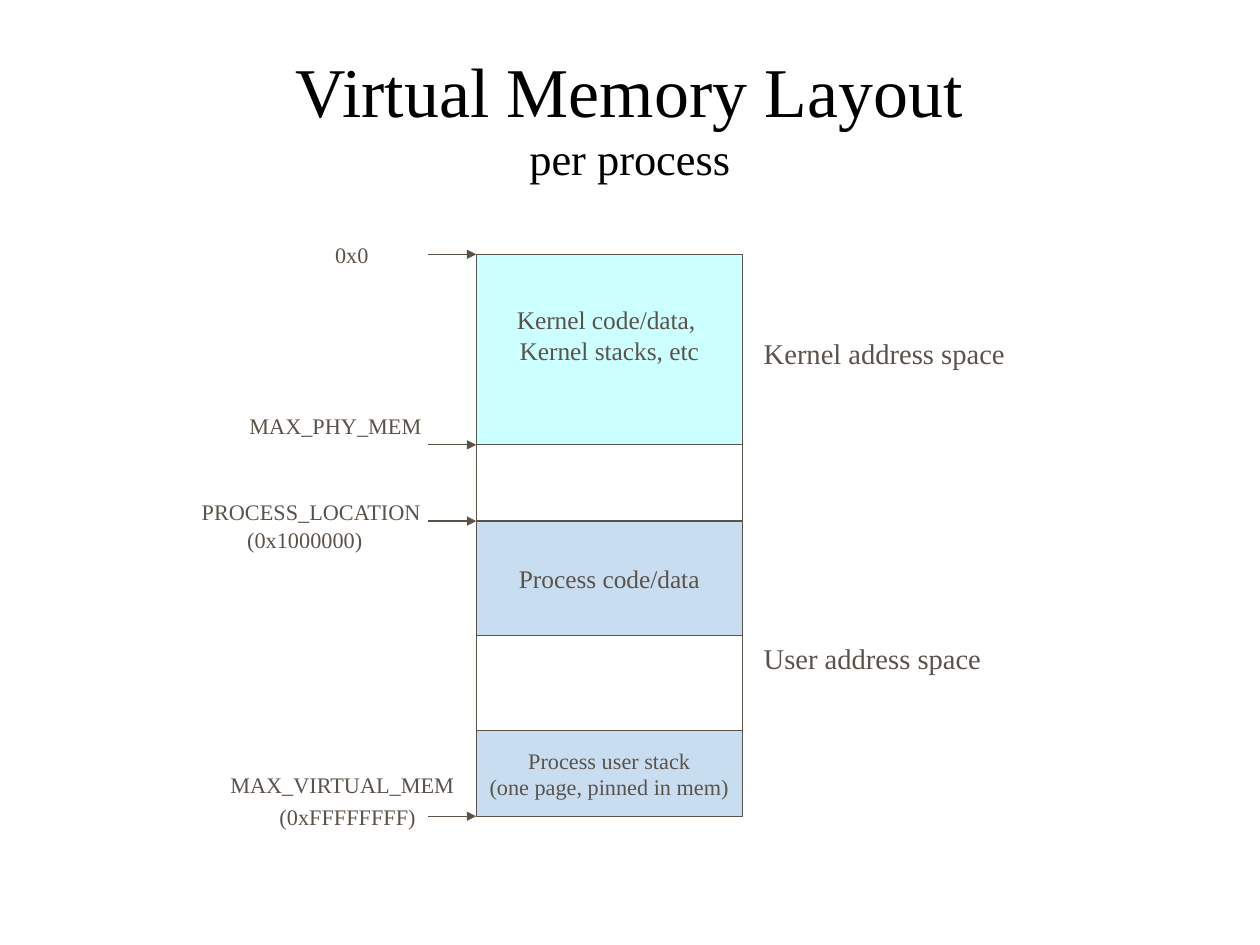
"""Draw the virtual memory layout of one process."""
from dataclasses import dataclass

from lxml.etree import SubElement
from pptx import Presentation
from pptx.dml.color import RGBColor
from pptx.enum.shapes import MSO_CONNECTOR, MSO_SHAPE
from pptx.enum.text import MSO_ANCHOR, PP_ALIGN
from pptx.oxml.ns import qn
from pptx.util import Pt

FONT = "Times New Roman"
INK = "5B5249"
BLACK = "000000"
TOP = 160.2
LEFT = 300
WIDTH = 167.6
REACH = 30.2


@dataclass
class Block:
    """One region of memory, stacked under the one before."""
    height: float
    fill: str
    lines: tuple[str, ...] = ()
    size: float = 16
    foot: float = 3.6


@dataclass
class Label:
    """A line of text beside the stack."""
    text: str
    left: float
    top: float
    width: float
    height: float = 24.4
    size: float = 14
    align: PP_ALIGN = PP_ALIGN.LEFT


BLOCKS = [
    Block(120, "CCFFFF", ("Kernel code/data, ", "Kernel stacks, etc"), foot=22),
    Block(48, "FFFFFF"),
    Block(72, "C9DDF1", ("Process code/data",)),
    Block(60, "FFFFFF"),
    Block(54, "C9DDF1", ("Process user stack", "(one page, pinned in mem)"), 14),
]
LABELS = [
    Label("0x0", 204, 148.2, 36),
    Label("MAX_PHY_MEM", 150, 256.2, 123),
    Label("PROCESS_LOCATION", 120, 310.2, 153),
    Label("(0x1000000)", 144, 328.2, 96, align=PP_ALIGN.CENTER),
    Label("MAX_VIRTUAL_MEM", 138, 482.2, 156),
    Label("(0xFFFFFFFF)", 162, 502.2, 114, align=PP_ALIGN.CENTER),
    Label("Kernel address space", 474, 208.2, 192, 29, 18),
    Label("User address space", 474, 400.2, 192, 29, 18),
]
MARKS = (0, 1, 2, 5)


def paint(target, color: str) -> None:
    """Give a fill a solid colour."""
    target.solid()
    target.fore_color.rgb = RGBColor.from_string(color)


def write(para, text: str, size: float, color: str = INK) -> None:
    """Add one run to a paragraph."""
    run = para.add_run()
    run.text = text
    run.font.name = FONT
    run.font.size = Pt(size)
    paint(run.font.fill, color)


def add_title(slide) -> None:
    """Add the two-line heading."""
    box = slide.shapes.add_textbox(Pt(39.6), Pt(23.5), Pt(714.2), Pt(99.4))
    frame = box.text_frame
    frame.word_wrap = True
    frame.vertical_anchor = MSO_ANCHOR.MIDDLE
    frame.margin_left = frame.margin_right = Pt(0)
    frame.margin_top = frame.margin_bottom = Pt(0)
    para = frame.paragraphs[0]
    para.alignment = PP_ALIGN.CENTER
    write(para, "Virtual Memory Layout", 44, BLACK)
    para.add_line_break()
    write(para, "per process", 28, BLACK)


def add_block(slide, block: Block, top: float) -> None:
    """Draw one region with its centred text."""
    shape = slide.shapes.add_shape(
        MSO_SHAPE.RECTANGLE, Pt(LEFT), Pt(top), Pt(WIDTH), Pt(block.height))
    shape.shadow.inherit = False
    paint(shape.fill, block.fill)
    paint(shape.line.fill, INK)
    shape.line.width = Pt(0.75)
    frame = shape.text_frame
    frame.word_wrap = True
    frame.vertical_anchor = MSO_ANCHOR.MIDDLE
    frame.margin_bottom = Pt(block.foot)
    for index, line in enumerate(block.lines):
        para = frame.add_paragraph() if index else frame.paragraphs[0]
        para.alignment = PP_ALIGN.CENTER
        write(para, line, block.size)


def add_arrow(slide, level: float) -> None:
    """Point at the stack's left edge at a given level."""
    arrow = slide.shapes.add_connector(
        MSO_CONNECTOR.STRAIGHT, Pt(LEFT - REACH), Pt(level), Pt(LEFT), Pt(level))
    paint(arrow.line.fill, INK)
    arrow.line.width = Pt(0.75)
    SubElement(arrow.line._get_or_add_ln(), qn("a:tailEnd"), type="triangle")
    SubElement(arrow._element.spPr, qn("a:effectLst"))


def add_label(slide, label: Label) -> None:
    """Add one line of text beside the stack."""
    box = slide.shapes.add_textbox(
        Pt(label.left), Pt(label.top), Pt(label.width), Pt(label.height))
    box.text_frame.word_wrap = True
    para = box.text_frame.paragraphs[0]
    para.alignment = label.align
    write(para, label.text, label.size)


def main() -> None:
    """Build and save the slide."""
    deck = Presentation()
    deck.slide_width = Pt(793.7)
    deck.slide_height = Pt(595.28)
    slide = deck.slides.add_slide(deck.slide_layouts[6])
    add_title(slide)
    levels = [TOP]
    for block in BLOCKS:
        add_block(slide, block, levels[-1])
        levels.append(levels[-1] + block.height)
    for mark in MARKS:
        add_arrow(slide, levels[mark])
    for label in LABELS:
        add_label(slide, label)
    deck.save("out.pptx")


if __name__ == "__main__":
    main()
